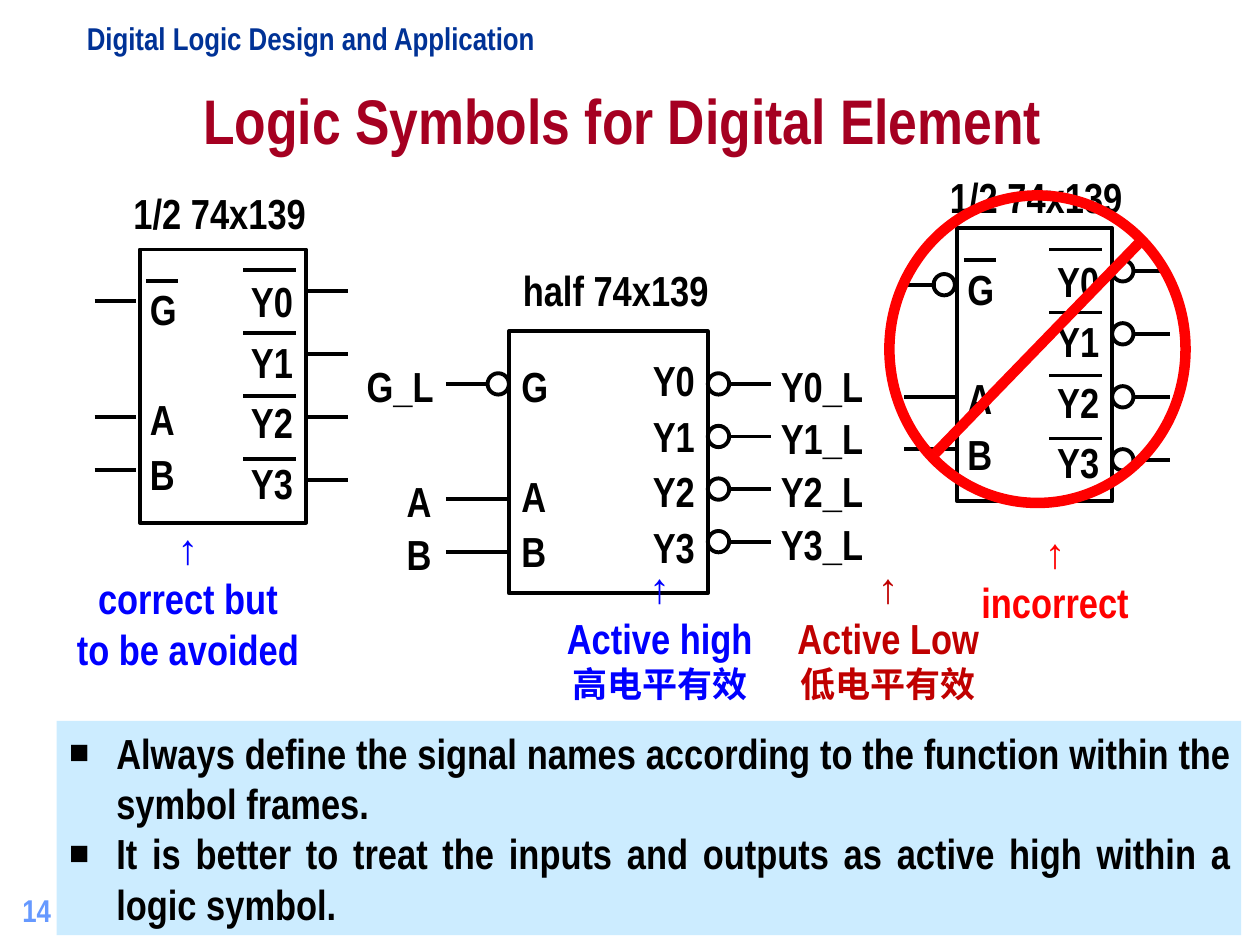
from lxml import etree
from pptx import Presentation
from pptx.dml.color import RGBColor
from pptx.enum.shapes import MSO_CONNECTOR, MSO_SHAPE
from pptx.enum.text import MSO_ANCHOR, MSO_AUTO_SIZE, PP_ALIGN
from pptx.oxml.ns import qn
from pptx.util import Cm, Pt

RECT, OVAL = MSO_SHAPE.RECTANGLE, MSO_SHAPE.OVAL
STRAIGHT = MSO_CONNECTOR.STRAIGHT
LEFT, CENTER, JUSTIFY = PP_ALIGN.LEFT, PP_ALIGN.CENTER, PP_ALIGN.JUSTIFY
MIDDLE, BOTTOM = MSO_ANCHOR.MIDDLE, MSO_ANCHOR.BOTTOM
NO_FIT = MSO_AUTO_SIZE.NONE
BLACK, RED, BLUE, DARK_RED = "000000", "FF0000", "0000FF", "C00000"
FONT, ARROW_FONT, CHINESE_FONT = "Arial Narrow", "Arial", "Noto Sans CJK JP"
BUBBLE = 0.43

prs = Presentation()
prs.slide_width, prs.slide_height = Cm(25.4), Cm(19.05)
slide = prs.slides.add_slide(prs.slide_layouts[1])


def write(box, lines, color=BLACK, size=24, align=LEFT, spacing=1, wrap=False):
    frame = box.text_frame
    frame.text = "\n".join(lines)
    frame.word_wrap = wrap
    frame.auto_size = NO_FIT
    for paragraph in frame.paragraphs:
        paragraph.alignment = align
        paragraph.line_spacing = spacing
        paragraph.space_before = Pt(0)
        font = paragraph.runs[0].font
        font.name, font.size, font.bold = FONT, Pt(size), True
        font.color.rgb = RGBColor.from_string(color)
    return frame


def draw(parent, kind, x, y, width, height, color=BLACK, weight=2.25):
    if kind is STRAIGHT:
        item = parent.add_connector(kind, Cm(x), Cm(y), Cm(x + width), Cm(y + height))
        etree.SubElement(item._element.spPr, qn("a:effectLst"))
    else:
        item = parent.add_shape(kind, Cm(x), Cm(y), Cm(width), Cm(height))
        item.fill.background()
        item.shadow.inherit = False
    item.line.color.rgb = RGBColor.from_string(color)
    item.line.width = Pt(weight)


title = slide.shapes.title
title.left, title.top, title.width, title.height = Cm(-0.15), Cm(1.4), Cm(25.4), Cm(2)
write(title, ["Logic Symbols for Digital Element"], "A50021", 36, CENTER, wrap=True)
title.text_frame.vertical_anchor = MIDDLE

course = slide.shapes.add_textbox(Cm(1.5), Cm(0.25), Cm(9.55), Cm(1.02))
write(course, ["Digital Logic Design and Application"], "003296", 18)
page = slide.shapes.add_textbox(Cm(0.2), Cm(17.58), Cm(5.28), Cm(1.27))
write(page, ["14"], "6699FF", 18, wrap=True).vertical_anchor = BOTTOM

rules = slide.placeholders[1]
rules.left, rules.top, rules.width, rules.height = Cm(1.14), Cm(14.53), Cm(23.88), Cm(4.32)
rules.fill.solid()
rules.fill.fore_color.rgb = RGBColor.from_string("CCECFF")
rules_frame = write(rules, [
    "Always define the signal names according to the function within the symbol frames.",
    "It is better to treat the inputs and outputs as active high within a logic symbol.",
], align=JUSTIFY, wrap=True)
rules_frame.margin_right = Cm(0.2)
for rule in rules_frame.paragraphs:
    properties = rule._p.get_or_add_pPr()
    properties.set("marL", str(Cm(0.95)))
    properties.set("indent", str(Cm(-0.95)))
    bullet_color = etree.SubElement(properties, qn("a:buClr"))
    etree.SubElement(bullet_color, qn("a:srgbClr"), val=BLACK)
    etree.SubElement(properties, qn("a:buSzPct"), val="80000")
    etree.SubElement(properties, qn("a:buFont"), typeface=ARROW_FONT)
    etree.SubElement(properties, qn("a:buChar"), char="■")

symbols = [
    dict(caption="1/2 74x139", caption_at=(2.44, 3.66, 3.99), frame=(2.82, 5.03, 3.35, 5.51),
         barred=True, bubbles=False, output_y=0.84, pitch=1.27, output_end=0.84,
         output_text_y=0.2, spacing=1.2, input_text=(-0.05, 0.46),
         input_ys=(1.04, 3.38, 4.45), input_span=(-0.91, -0.08)),
    dict(caption="1/2 74x139", caption_at=(18.9, 3.33, 3.99), frame=(19.3, 4.6, 3.12, 5.51),
         barred=True, bubbles=True, output_y=0.86, pitch=1.27, output_end=1.17,
         output_text_y=0.22, spacing=1.2, input_text=(-0.05, 0.48),
         input_ys=(1.14, 3.4, 4.45), input_span=(-1.07, 0)),
    dict(caption="half 74x139", caption_at=(10.29, 5.21, 4.24), frame=(10.26, 6.68, 4.01, 5.28),
         barred=False, bubbles=True, output_y=1.06, pitch=1.06, output_end=1.27,
         output_text_y=0.25, spacing=1.1, input_text=(0, 0.36),
         input_ys=(1.06, 3.38, 4.44), input_span=(-1.27, 0)),
]
for symbol in symbols:
    parts = slide.shapes.add_group_shape().shapes
    left, top, width, height = symbol["frame"]
    right = left + width
    draw(parts, RECT, left, top, width, height)

    caption_x, caption_y, caption_width = symbol["caption_at"]
    caption = parts.add_textbox(Cm(caption_x), Cm(caption_y), Cm(caption_width), Cm(1.27))
    write(caption, [symbol["caption"]])

    outputs = parts.add_textbox(Cm(right - 1.36), Cm(top + symbol["output_text_y"]), Cm(1.35), Cm(5))
    write(outputs, ["Y0", "Y1", "Y2", "Y3"], spacing=symbol["spacing"])
    text_x, text_y = symbol["input_text"]
    inputs = parts.add_textbox(Cm(left + text_x), Cm(top + text_y), Cm(1.04), Cm(4.72))
    write(inputs, ["G", "A", "B"], spacing=1.1).paragraphs[1].space_before = Pt(31)

    gap = BUBBLE if symbol["bubbles"] else 0
    for i in range(4):
        y = top + symbol["output_y"] + i * symbol["pitch"]
        draw(parts, STRAIGHT, right + gap, y, symbol["output_end"] - gap, 0)
        if symbol["bubbles"]:
            draw(parts, OVAL, right, y - BUBBLE / 2, BUBBLE, BUBBLE)
        if symbol["barred"]:
            draw(parts, STRAIGHT, right - 1.27, y - 0.43, 1.07, 0)

    start, end = symbol["input_span"]
    for i, input_y in enumerate(symbol["input_ys"]):
        inverted = symbol["bubbles"] and i == 0
        stop = end - BUBBLE if inverted else end
        draw(parts, STRAIGHT, left + start, top + input_y, stop - start, 0)
        if inverted:
            draw(parts, OVAL, left + text_x - BUBBLE, top + input_y - BUBBLE / 2, BUBBLE, BUBBLE)
    if symbol["barred"]:
        draw(parts, STRAIGHT, left + 0.13, top + 0.64, 0.64, 0)

prohibition = slide.shapes.add_group_shape().shapes
draw(prohibition, OVAL, 17.93, 3.94, 5.97, 6.2, RED, 6)
draw(prohibition, STRAIGHT, 18.85, 9.14, 4.11, -4.24, RED, 6)

signals = [("G_L", 7.14, 7.14, 1.85), ("A", 7.95, 9.47, 0.99), ("B", 7.95, 10.52, 0.99)]
signals += [(f"Y{i}_L", 15.49, 7.14 + i * 1.06, 2.16) for i in range(4)]
for signal, x, y, width in signals:
    write(slide.shapes.add_textbox(Cm(x), Cm(y), Cm(width), Cm(1.27)), [signal])

remarks = [
    (["↑", "correct but", "to be avoided"], BLUE, 1.3, 10.41, 4.98, 3.3),
    (["↑", "incorrect"], RED, 19.53, 10.49, 3.48, 2.29),
    (["↑", "Active high", "高电平有效"], BLUE, 11.18, 11.2, 4.24, 3.15),
    (["↑", "Active Low", "低电平有效"], DARK_RED, 15.82, 11.2, 4.17, 3.15),
]
for lines, color, x, y, width, height in remarks:
    remark = slide.shapes.add_textbox(Cm(x), Cm(y), Cm(width), Cm(height))
    paragraphs = write(remark, lines, color, align=CENTER).paragraphs
    paragraphs[0].runs[0].font.name = ARROW_FONT
    if lines[-1].endswith("有效"):
        chinese = paragraphs[-1].runs[0]
        chinese.font.name, chinese.font.size = CHINESE_FONT, Pt(20)
        etree.SubElement(chinese._r.get_or_add_rPr(), qn("a:ea"), typeface=CHINESE_FONT)

prs.save("out.pptx")
